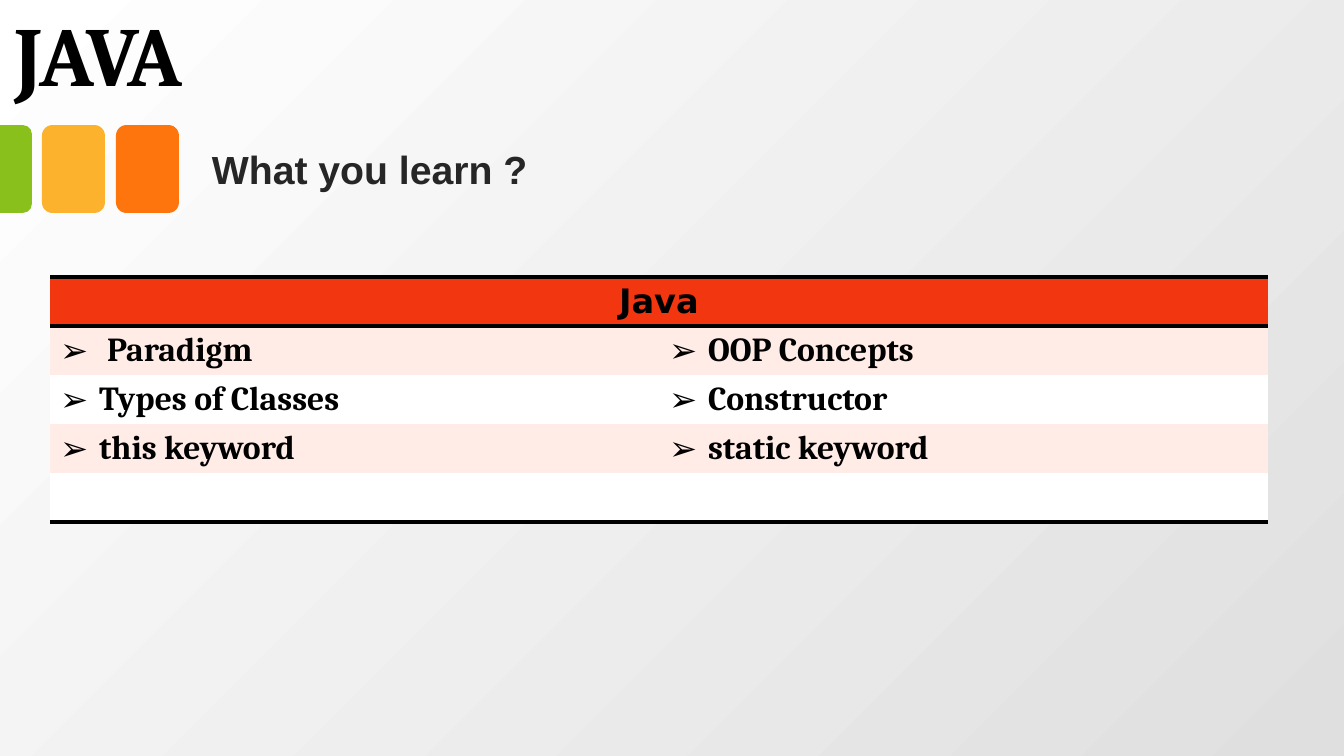
from lxml import etree
from pptx import Presentation
from pptx.dml.color import RGBColor
from pptx.enum.shapes import MSO_SHAPE
from pptx.enum.text import MSO_ANCHOR, MSO_AUTO_SIZE, PP_ALIGN
from pptx.oxml.ns import qn
from pptx.util import Pt

ROUND, ROUND_TOP = MSO_SHAPE.ROUNDED_RECTANGLE, MSO_SHAPE.ROUND_2_SAME_RECTANGLE
LEFT, CENTER = PP_ALIGN.LEFT, PP_ALIGN.CENTER
MIDDLE, BOTTOM = MSO_ANCHOR.MIDDLE, MSO_ANCHOR.BOTTOM
PX = 914400 / 100.8
NO_STYLE = "{2D5ABB26-0587-4C30-8999-92F81FD0307C}"
COLORS = {
    "black": "000000", "text": "262626", "white": "FFFFFF", "shade": "DFDFDF",
    "orange": "FE750E", "yellow": "FCB22C", "green": "89C01C",
    "header": "F23610", "band": "FFECE7",
}


def px(*lengths):
    """Turn pixel lengths into EMU."""
    return [round(n * PX) for n in lengths]


def write(p, text, size, font, color="black"):
    r = p.add_run()
    r.text = text
    for name, value in {"size": Pt(size), "name": font, "bold": True}.items():
        setattr(r.font, name, value)
    r.font.color.rgb = RGBColor.from_string(COLORS[color])


prs = Presentation()
prs.slide_width, prs.slide_height = px(1344, 756)
s = prs.slides.add_slide(prs.slide_layouts[5])

# Background
fill = s.background.fill
fill.gradient()
fill.gradient_angle = 315
for stop, color, position in zip(fill.gradient_stops, ("white", "shade"), (0, 1)):
    stop.color.rgb = RGBColor.from_string(COLORS[color])
    stop.position = position

# Coloured tabs
tabs = [
    (ROUND, (116, 125, 63, 88), 0, (0.167,), "orange"),
    (ROUND, (42, 125, 63, 88), 0, (0.167,), "yellow"),
    (ROUND_TOP, (-28, 153, 88, 32), 90, (0.292, 0), "green"),
]
for kind, box, rotation, adjustments, color in tabs:
    sp = s.shapes.add_shape(kind, *px(*box))
    sp.rotation = rotation
    sp.shadow.inherit = False
    for i, value in enumerate(adjustments):
        sp.adjustments[i] = value
    sp.fill.solid()
    sp.fill.fore_color.rgb = RGBColor.from_string(COLORS[color])
    sp.line.fill.background()

# Title
title = s.shapes.title
title.left, title.top, title.width, title.height = px(1, 17, 1149, 93)
tf = title.text_frame
side, edge = px(13, 7)
title_format = {
    "margin_left": side, "margin_right": side, "margin_top": edge, "margin_bottom": edge,
    "vertical_anchor": BOTTOM, "auto_size": MSO_AUTO_SIZE.NONE, "word_wrap": True,
}
for name, value in title_format.items():
    setattr(tf, name, value)
p = tf.paragraphs[0]
p.alignment, p.line_spacing = LEFT, 0.8
write(p, "JAVA", 60, "Cambria")

# Topic table
topics = [
    ("Paradigm", "OOP Concepts"),
    ("Types of Classes", "Constructor"),
    ("this keyword", "static keyword"),
    ("", ""),
]
frame = s.shapes.add_table(len(topics) + 1, 2, *px(50, 277, 1218, 245))
table = frame.table
table._tbl.tblPr.find(qn("a:tableStyleId")).text = NO_STYLE
table.first_row = table.horz_banding = False
for row in table.rows:
    row.height = px(49)[0]

for y, row in enumerate([("Java", "")] + topics):
    color = "header" if y == 0 else "band" if y % 2 else "white"
    borders = {0: ("a:lnT", "a:lnB"), len(topics): ("a:lnB",)}.get(y, ())
    for x, text in enumerate(row):
        cell = table.cell(y, x)
        cell.vertical_anchor = MIDDLE
        cell.fill.solid()
        cell.fill.fore_color.rgb = RGBColor.from_string(COLORS[color])
        tcPr = cell._tc.get_or_add_tcPr()
        for i, tag in enumerate(borders):
            ln = etree.Element(qn(tag), w=str(Pt(3)))
            solid = etree.SubElement(ln, qn("a:solidFill"))
            etree.SubElement(solid, qn("a:srgbClr"), val=COLORS["black"])
            tcPr.insert(i, ln)
        if not text:
            continue
        p = cell.text_frame.paragraphs[0]
        if y == 0:
            p.alignment = CENTER
            write(p, text, 24, "DejaVu Sans")
            continue
        indent = px(47 if text == "Paradigm" else 39)[0]
        pPr = p._p.get_or_add_pPr()
        pPr.set("marL", str(indent))
        pPr.set("indent", str(-indent))
        etree.SubElement(pPr, qn("a:buFont"), typeface="Arial")
        etree.SubElement(pPr, qn("a:buChar"), char="➢")
        write(p, text, 24, "Cambria")
table.cell(0, 0).merge(table.cell(0, 1))

# Question
question = s.shapes.add_textbox(*px(202, 140, 351, 57))
tf = question.text_frame
tf.word_wrap = False
tf.auto_size = MSO_AUTO_SIZE.SHAPE_TO_FIT_TEXT
write(tf.paragraphs[0], "What you learn ?", 28, "Arial", "text")

prs.save("out.pptx")
